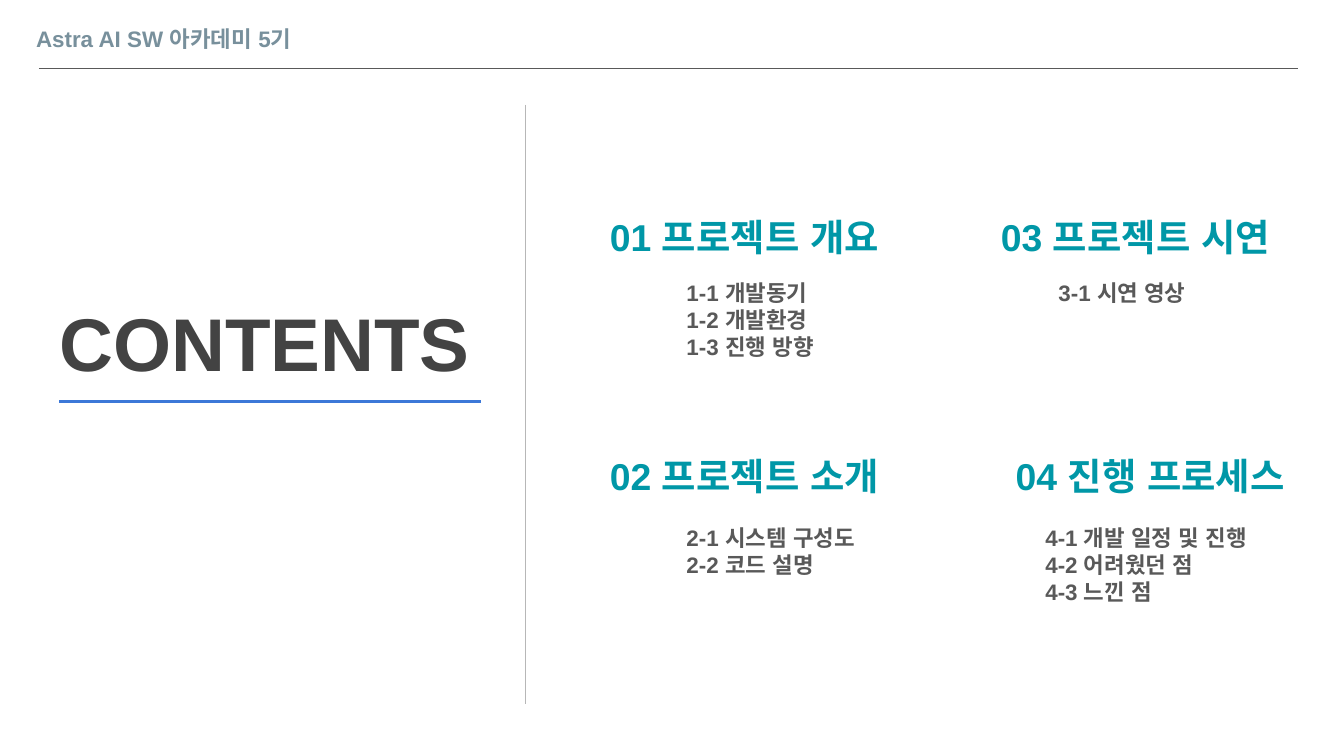
from dataclasses import dataclass

from lxml import etree
from pptx import Presentation
from pptx import util as u
from pptx.dml import color
from pptx.enum import shapes, text
from pptx.oxml import ns

ALIGN = text.PP_ALIGN


@dataclass(frozen=True)
class Theme:
    """Colours, font and text styles of the deck."""
    font: str = "Arial"
    header: tuple = (12, "78909C")
    title: tuple = (40, "434343")
    heading: tuple = (20, "0097A7")
    item: tuple = (12, "595959")
    rule: tuple = (0.75, "595959")
    underline: tuple = (1.5, "3C78D8")
    divider: tuple = (0.75, "B7B7B7")


THEME = Theme()


def add_text(parent, box, lines, style, align=ALIGN.LEFT):
    """Place one paragraph per line in a text box."""
    size, rgb = style
    frame = parent.add_textbox(*map(u.Inches, box)).text_frame
    layout = {"word_wrap": True, "vertical_anchor": text.MSO_ANCHOR.TOP}
    layout.update({f"margin_{side}": u.Inches(0.1)
                   for side in ("left", "top", "right", "bottom")})
    for name, value in layout.items():
        setattr(frame, name, value)
    frame.text = "\n".join(lines)
    for paragraph in frame.paragraphs:
        paragraph.alignment = align
        run = paragraph.runs[0]
        for name, value in {"name": THEME.font, "size": u.Pt(size), "bold": True}.items():
            setattr(run.font, name, value)
        run.font.color.rgb = color.RGBColor.from_string(rgb)
        for script in ("a:ea", "a:cs"):
            etree.SubElement(run._r.rPr, ns.qn(script), typeface=THEME.font)


def add_rule(parent, start, end, style):
    """Draw a straight line without shadow."""
    width, rgb = style
    rule = parent.add_connector(shapes.MSO_CONNECTOR.STRAIGHT,
                                *map(u.Inches, (*start, *end)))
    rule.line.width = u.Pt(width)
    rule.line.color.rgb = color.RGBColor.from_string(rgb)
    etree.SubElement(rule._element.spPr, ns.qn("a:effectLst"))


def add_header(parent, box, course):
    """Place the course name above a full-width rule."""
    left, top, width, height = box
    add_text(parent, (left - 0.12, top, 4.26, 0.33), [course], THEME.header)
    add_rule(parent, (left, top + height), (left + width, top + height), THEME.rule)


def add_title(parent, box, title):
    """Place the underlined title as one group."""
    left, top, width, height = box
    group = parent.add_group_shape().shapes
    add_text(group, (left - 0.49, top, width + 0.9, 0.79), [title],
             THEME.title, ALIGN.CENTER)
    add_rule(group, (left, top + height), (left + width, top + height), THEME.underline)


def add_section(parent, box, heading, items, item_left, item_top, item_size, align):
    """Place a section heading and its list of items."""
    left, top, _, _ = box
    add_text(parent, box, [heading], THEME.heading, ALIGN.RIGHT)
    add_text(parent, (left + item_left, top + item_top, *item_size), items,
             THEME.item, align)


def add_contents(parent, box):
    """Place the four sections in two columns and two rows."""
    left, top, width, height = box
    right, lower = left + width - 2.51, top + height - 1.48
    heading_size = (2.4, 0.54)
    sections = [
        (left, top, "01 프로젝트 개요",
         ["1-1 개발동기", "1-2 개발환경", "1-3 진행 방향"],
         0.77, 0.49, (1.24, 0.54), ALIGN.JUSTIFY),
        (right, top, "03 프로젝트 시연", ["3-1 시연 영상"],
         0.53, 0.49, (1.24, 0.33), ALIGN.RIGHT),
        (left, lower, "02 프로젝트 소개",
         ["2-1 시스템 구성도", "2-2 코드 설명"],
         0.77, 0.53, (1.87, 0.95), ALIGN.JUSTIFY),
        (right + 0.11, lower, "04 진행 프로세스",
         ["4-1 개발 일정 및 진행", "4-2 어려웠던 점 ", "4-3 느낀 점"],
         0.42, 0.53, (1.87, 0.95), ALIGN.JUSTIFY),
    ]
    for x, y, *section in sections:
        add_section(parent, (x, y, *heading_size), *section)


def main():
    """Build and save the contents slide."""
    deck = Presentation()
    deck.slide_width = u.Inches(10)
    deck.slide_height = deck.slide_width * 9 // 16
    parts = deck.slides.add_slide(deck.slide_layouts[6]).shapes
    add_header(parts, (0.29, 0.09, 9.37, 0.42), "Astra AI SW 아카데미 5기")
    add_title(parts, (0.44, 2.11, 3.14, 0.88), "CONTENTS")
    add_rule(parts, (3.91, 0.78), (3.91, 5.24), THEME.divider)
    add_contents(parts, (4.24, 1.49, 5.42, 3.26))
    deck.save("out.pptx")


if __name__ == "__main__":
    main()
